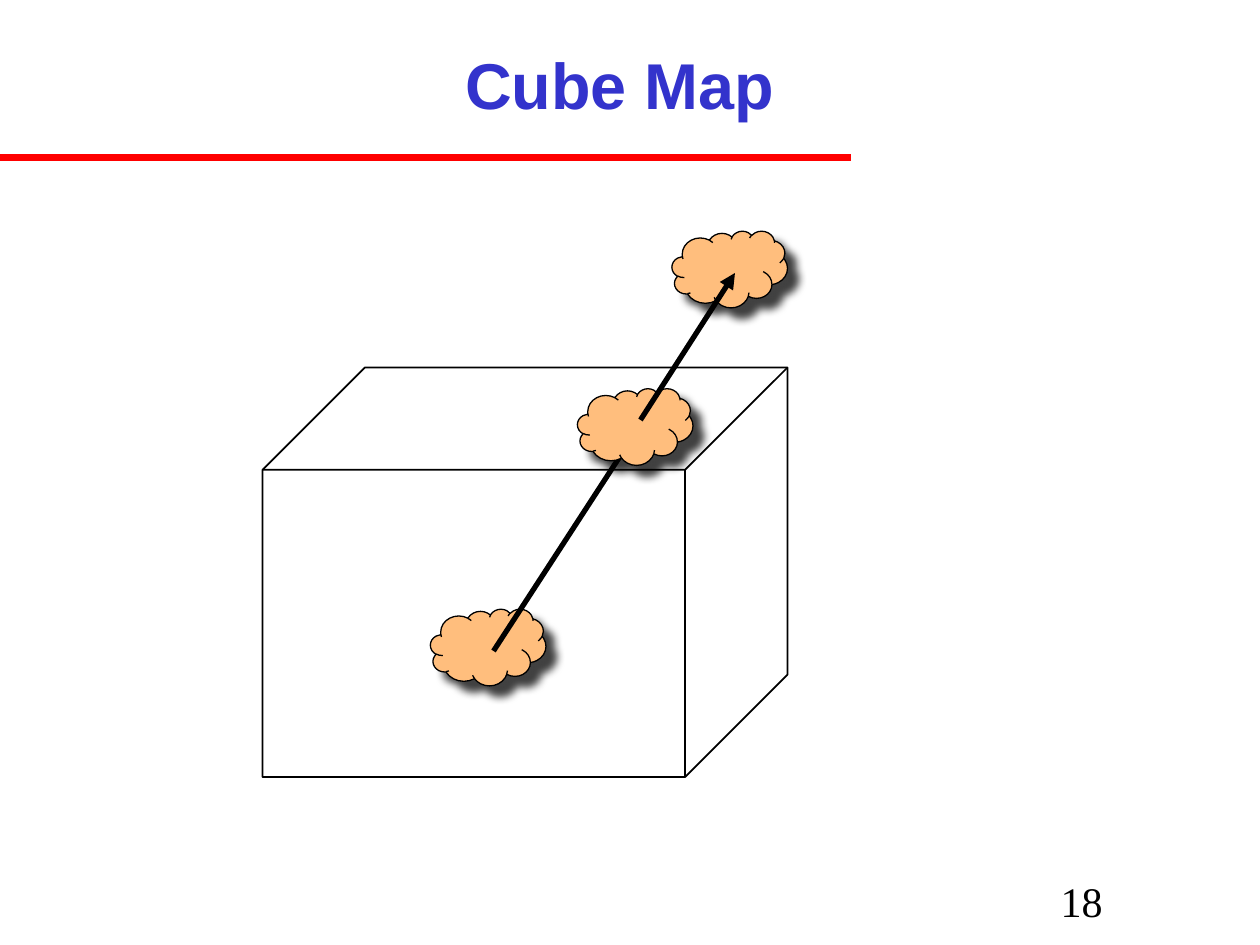
from dataclasses import dataclass, field

from lxml import etree
from pptx import Presentation
from pptx.dml.color import RGBColor
from pptx.enum.shapes import MSO_CONNECTOR, MSO_SHAPE
from pptx.enum.text import MSO_ANCHOR, PP_ALIGN
from pptx.oxml.ns import qn
from pptx.util import Inches, Pt

CLOUD, CUBE = MSO_SHAPE.CLOUD, MSO_SHAPE.CUBE
STRAIGHT = MSO_CONNECTOR.STRAIGHT
CENTER, MIDDLE = PP_ALIGN.CENTER, MSO_ANCHOR.MIDDLE

COLORS = {
    "title": "3333CC",
    "rule": "FF0000",
    "cloud": "FFBE7D",
    "ink": "000000",
}
COLUMNS, ROWS = 120, 90
CLOUD_SIZE = (11, 7.3)


def rgb(name):
    return RGBColor.from_string(COLORS[name])


def write_text(frame, text, *, font, points, color, bold=False):
    frame.text = text
    paragraph = frame.paragraphs[0]
    paragraph.alignment = CENTER
    paragraph.font.name = font
    paragraph.font.size = Pt(points)
    paragraph.font.bold = bold
    paragraph.font.color.rgb = rgb(color)


def add_soft_shadow(shape, blur=5, distance=8.5, degrees=45, opacity=75):
    """Cast a blurred shadow; blur and distance are in points."""
    effects = shape._element.spPr.find(qn("a:effectLst"))
    shadow = etree.SubElement(
        effects, qn("a:outerShdw"), blurRad=str(Pt(blur)), dist=str(Pt(distance)),
        dir=str(degrees * 60000), algn="ctr", rotWithShape="0")
    color = etree.SubElement(shadow, qn("a:srgbClr"), val=COLORS["ink"])
    etree.SubElement(color, qn("a:alpha"), val=str(opacity * 1000))


@dataclass
class GridSlide:
    """Draws on one slide; every place and size is in grid columns and rows."""
    slide: object
    column: float
    row: float
    heading: dict = field(default_factory=lambda: dict(
        font="Arial", points=37, color="title", bold=True))
    numbering: dict = field(default_factory=lambda: dict(
        font="Times New Roman", points=24, color="ink"))

    def place(self, x, y):
        return round(x * self.column), round(y * self.row)

    def text(self, text, at, size, indent=0, **style):
        box = self.slide.shapes.add_textbox(*self.place(*at), *self.place(*size))
        frame = box.text_frame
        frame.word_wrap = True
        frame.vertical_anchor = MIDDLE
        frame.margin_left = Inches(0.1 + indent)
        write_text(frame, text, **style)

    def shape(self, kind, at, size, line_width, fill=None):
        shape = self.slide.shapes.add_shape(
            kind, *self.place(*at), *self.place(*size))
        shape.shadow.inherit = False
        shape.line.color.rgb = rgb("ink")
        shape.line.width = Pt(line_width)
        if fill:
            shape.fill.solid()
            shape.fill.fore_color.rgb = rgb(fill)
        else:
            shape.fill.background()
        return shape

    def cloud(self, at):
        add_soft_shadow(self.shape(CLOUD, at, CLOUD_SIZE, 0.75, fill="cloud"))

    def cube(self, at, size):
        self.shape(CUBE, at, size, 1).adjustments[0] = 0.25

    def line(self, start, end, color, width):
        line = self.slide.shapes.add_connector(
            STRAIGHT, *self.place(*start), *self.place(*end))
        line.line.color.rgb = rgb(color)
        line.line.width = Pt(width)
        etree.SubElement(line._element.spPr, qn("a:effectLst"))
        return line

    def arrow(self, start, end):
        outline = self.line(start, end, "ink", 3).line._get_or_add_ln()
        etree.SubElement(outline, qn("a:tailEnd"), type="triangle")


def main():
    deck = Presentation()
    deck.slide_width, deck.slide_height = Inches(10), Inches(7.5)
    page = GridSlide(
        deck.slides.add_slide(deck.slide_layouts[6]),
        deck.slide_width / COLUMNS, deck.slide_height / ROWS)

    page.line((0, 15), (81, 15), "rule", 4)
    page.text("Cube Map", (0, 1), (118, 14), **page.heading)
    page.text("18", (86, 83.4), (28, 4.8), indent=0.5, **page.numbering)

    # The ray leaves the inner cloud, meets the cube's surface and goes on outside.
    for inner_or_outer in ((41, 58), (64, 22)):
        page.cloud(inner_or_outer)
    page.arrow((47, 62), (60, 42))
    page.cube((25, 35), (50, 39))
    page.cloud((55, 37))
    page.arrow((61, 40), (70, 26))

    deck.save("out.pptx")


if __name__ == "__main__":
    main()
